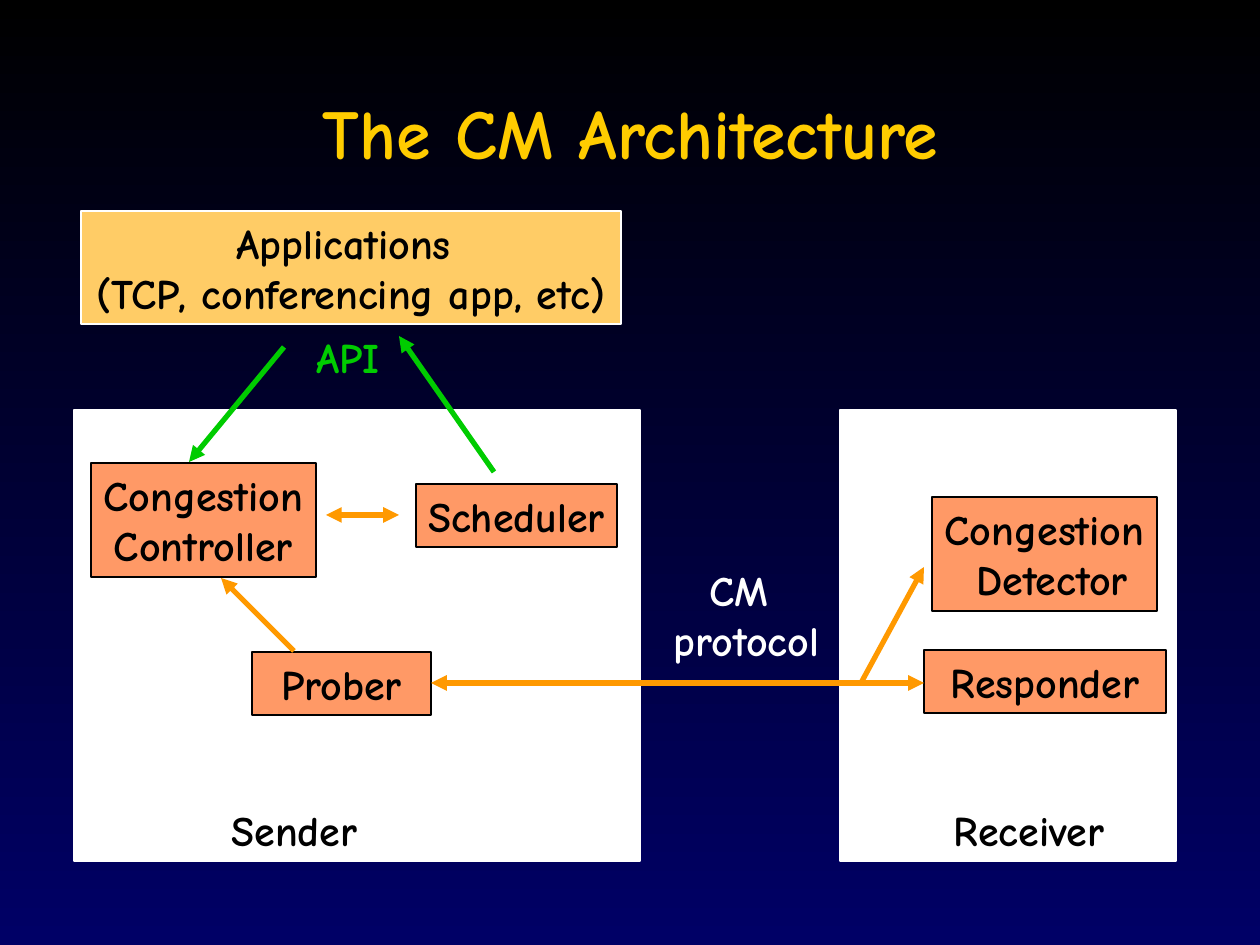
from lxml.etree import SubElement
from pptx import Presentation
from pptx.dml.color import RGBColor
from pptx.enum.shapes import MSO_CONNECTOR, MSO_SHAPE
from pptx.enum.text import MSO_ANCHOR, PP_ALIGN
from pptx.oxml.ns import qn
from pptx.util import Emu, Pt

FONT = "Comic Neue"
HEX = {
    "black": "000000", "navy": "000066", "white": "FFFFFF", "gold": "FFCC00",
    "sand": "FFCC66", "coral": "FF9966", "orange": "FF9900", "green": "00CC00",
}

# Content: places are left, top, width, height in px
TITLE = ("The CM Architecture", (95, 53, 1071, 157))
PANELS = [(74, 410, 566, 451), (840, 410, 336, 451)]
BOXES = [  # lines, place, fill, line
    (["Applications ", "(TCP, conferencing app, etc)"], (81, 211, 540, 113), "sand", "white"),
    (["Prober"], (252, 652, 179, 63), "coral", "black"),
    (["Congestion", "Controller"], (91, 463, 225, 114), "coral", "black"),
    (["Scheduler"], (416, 484, 201, 63), "coral", "black"),
    (["Responder"], (924, 650, 242, 63), "coral", "black"),
    (["Congestion", " Detector"], (932, 497, 225, 114), "coral", "black"),
]
LABELS = [  # lines, place, colour
    (["Sender"], (219, 798, 151, 63), "black"),
    (["Receiver"], (941, 798, 176, 63), "black"),
    (["CM ", "protocol"], (660, 558, 173, 114), "white"),
    (["API"], (298, 325, 100, 63), "green"),
]
ARROWS = [  # from, to, colour, heads at both ends
    ((431, 683), (924, 683), "orange", True),
    ((284, 347), (189, 462), "green", False),
    ((494, 472), (399, 336), "green", False),
    ((399, 515), (326, 515), "orange", True),
    ((294, 651), (221, 578), "orange", False),
    ((861, 683), (924, 567), "orange", False),
]


def px(n):
    return Emu(round(n * 914400 / 126))


def rgb(name):
    return RGBColor.from_string(HEX[name])


def write(shape, lines, hue, size=24, wrap=False):
    frame = shape.text_frame
    frame.word_wrap = wrap
    frame.vertical_anchor = MSO_ANCHOR.MIDDLE
    frame.text = "\n".join(lines)
    for para in frame.paragraphs:
        para.alignment = PP_ALIGN.CENTER
        font = para.font
        font.name, font.size, font.bold = FONT, Pt(size), True
        font.color.rgb = rgb(hue)


def rect(place, fill, edge):
    shape = slide.shapes.add_shape(MSO_SHAPE.RECTANGLE, *map(px, place))
    shape.shadow.inherit = False
    shape.fill.solid()
    shape.fill.fore_color.rgb = rgb(fill)
    shape.line.color.rgb = rgb(edge)
    shape.line.width = Pt(1)
    return shape


def arrow(start, end, hue, both):
    link = slide.shapes.add_connector(MSO_CONNECTOR.STRAIGHT, *map(px, start + end))
    link.line.color.rgb = rgb(hue)
    link.line.width = Pt(3)
    stroke = link._element.spPr.find(qn("a:ln"))
    for tag in (["a:headEnd"] if both else []) + ["a:tailEnd"]:
        SubElement(stroke, qn(tag), type="triangle")
    SubElement(link._element.spPr, qn("a:effectLst"))


deck = Presentation()
deck.slide_width, deck.slide_height = px(1260), px(945)
slide = deck.slides.add_slide(deck.slide_layouts[5])

# Background: black at the top to navy
back = slide.background.fill
back.gradient()
back.gradient_angle = 270
for stop, hue, pos in zip(back.gradient_stops, ("black", "navy"), (0, 1)):
    stop.color.rgb = rgb(hue)
    stop.position = pos

# Title
text, place = TITLE
title = slide.shapes.title
title.left, title.top, title.width, title.height = map(px, place)
write(title, [text], "gold", 40, True)

# Sender and receiver panels, then the parts on them
for place in PANELS:
    rect(place, "white", "white")
for lines, place, fill, edge in BOXES:
    write(rect(place, fill, edge), lines, "black")

# Labels and arrows
for lines, place, hue in LABELS:
    write(slide.shapes.add_textbox(*map(px, place)), lines, hue)
for item in ARROWS:
    arrow(*item)

deck.save("out.pptx")
